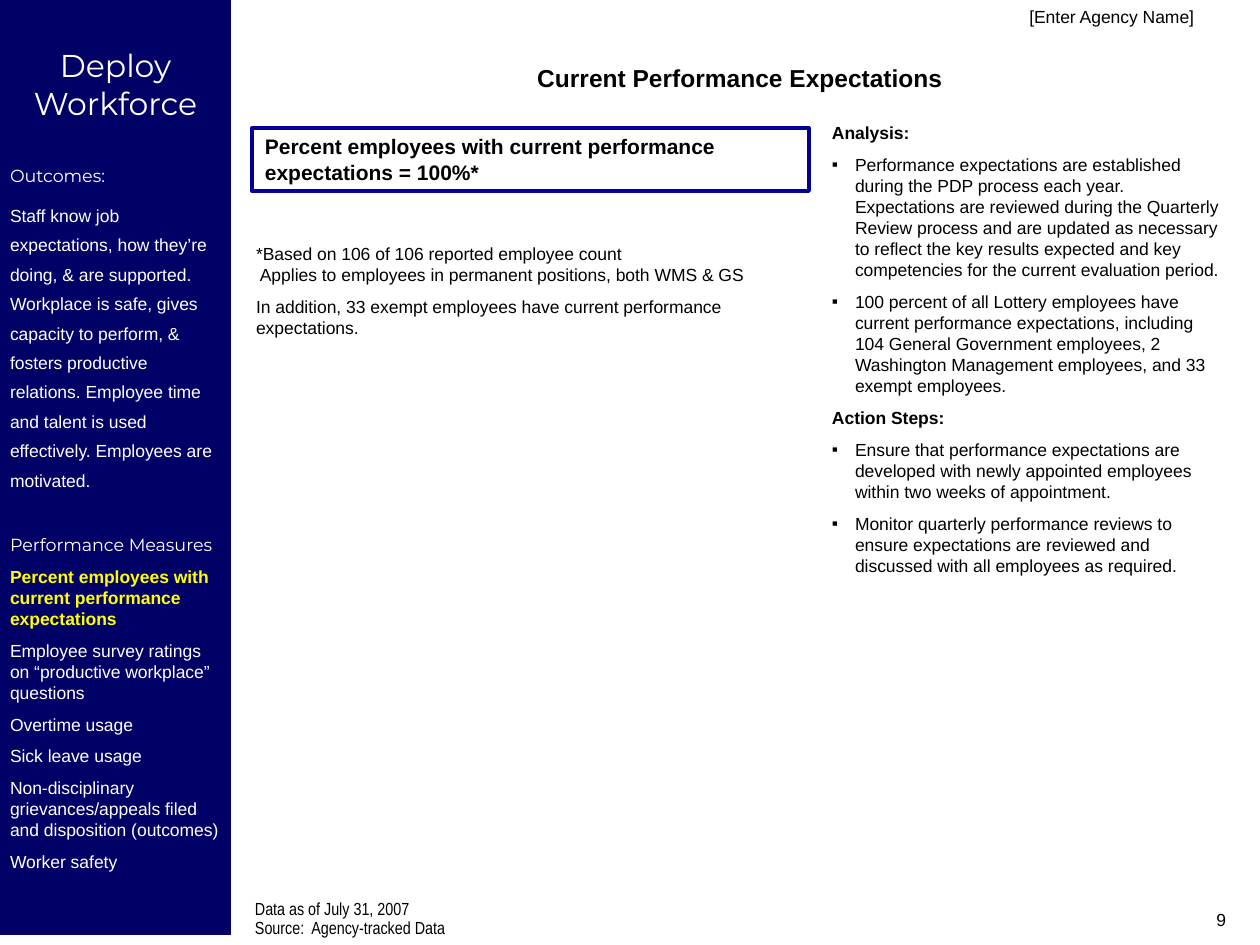
from dataclasses import dataclass
from typing import Optional

from lxml.etree import SubElement
from pptx import Presentation
from pptx.dml.color import RGBColor
from pptx.enum.shapes import MSO_SHAPE
from pptx.enum.text import MSO_ANCHOR, MSO_AUTO_SIZE, PP_ALIGN
from pptx.oxml.ns import qn
from pptx.util import Emu, Pt

PX_PER_INCH = 126


def px(length: int) -> Emu:
    return Emu(round(length * 914400 / PX_PER_INCH))


@dataclass(frozen=True)
class Theme:
    navy: str = "000066"
    frame: str = "000099"
    white: str = "FFFFFF"
    highlight: str = "FFFF00"
    ink: str = "000000"
    body_font: str = "Arial"
    narrow_font: str = "Arial Narrow"
    display_font: str = "Montserrat"
    body: int = 10
    headline: int = 12
    title: int = 14
    section: int = 18
    gap: float = 6.2
    wide_gap: float = 24.6
    hanging: int = 23


THEME = Theme()


@dataclass(frozen=True)
class Box:
    left: int
    top: int
    width: int
    height: int
    inset_x: int = 13
    inset_top: int = 6


@dataclass(frozen=True)
class Para:
    text: str
    size: int = THEME.body
    font: str = THEME.body_font
    color: str = THEME.ink
    bold: bool = False
    align: PP_ALIGN = PP_ALIGN.LEFT
    before: float = THEME.gap
    line_spacing: Optional[float] = None
    hanging: bool = False
    bullet: bool = False


def add_bullet(paragraph) -> None:
    properties = paragraph._p.get_or_add_pPr()
    color = SubElement(properties, qn("a:buClr"))
    SubElement(color, qn("a:srgbClr"), val=THEME.ink)
    SubElement(properties, qn("a:buFont"), typeface=THEME.body_font)
    SubElement(properties, qn("a:buChar"), char="▪")


def write_paragraph(paragraph, para: Para, first: bool) -> None:
    paragraph.alignment = para.align
    if not first:
        paragraph.space_before = Pt(para.before)
    if para.line_spacing:
        paragraph.line_spacing = para.line_spacing
    if para.hanging or para.bullet:
        properties = paragraph._p.get_or_add_pPr()
        properties.set("marL", str(px(THEME.hanging)))
        properties.set("indent", str(-px(THEME.hanging)))
    if para.bullet:
        add_bullet(paragraph)
    for index, line in enumerate(para.text.split("\n")):
        if index:
            paragraph.add_line_break()
        run = paragraph.add_run()
        run.text = line
        run.font.size = Pt(para.size)
        run.font.name = para.font
        run.font.bold = para.bold
        run.font.color.rgb = RGBColor.from_string(para.color)


def fill_text(shape, box: Box, paras: list[Para]) -> None:
    frame = shape.text_frame
    frame.word_wrap = True
    frame.auto_size = MSO_AUTO_SIZE.NONE
    frame.vertical_anchor = MSO_ANCHOR.TOP
    frame.margin_left = frame.margin_right = px(box.inset_x)
    frame.margin_top, frame.margin_bottom = px(box.inset_top), px(5)
    for index, para in enumerate(paras):
        paragraph = frame.add_paragraph() if index else frame.paragraphs[0]
        write_paragraph(paragraph, para, first=index == 0)


def place(shape, box: Box) -> None:
    shape.left, shape.top = px(box.left), px(box.top)
    shape.width, shape.height = px(box.width), px(box.height)


def add_text(slide, box: Box, paras: list[Para]) -> None:
    shape = slide.shapes.add_textbox(0, 0, 0, 0)
    place(shape, box)
    fill_text(shape, box, paras)


def add_panel(slide, box: Box, paras: list[Para], fill: Optional[str] = None,
              outline: Optional[str] = None) -> None:
    panel = slide.shapes.add_shape(MSO_SHAPE.RECTANGLE, 0, 0, 0, 0)
    place(panel, box)
    panel.shadow.inherit = False
    if fill:
        panel.fill.solid()
        panel.fill.fore_color.rgb = RGBColor.from_string(fill)
    else:
        panel.fill.background()
    if outline:
        panel.line.color.rgb = RGBColor.from_string(outline)
        panel.line.width = Pt(2.25)
    else:
        panel.line.fill.background()
    fill_text(panel, box, paras)


def sidebar_paras() -> list[Para]:
    white, display = THEME.white, THEME.display_font
    outcomes = (
        "Staff know job expectations, how they’re doing, & are supported. "
        "Workplace is safe, gives capacity to perform, & fosters productive "
        "relations. Employee time and talent is used effectively. "
        "Employees are motivated.")
    other_measures = [
        "Employee survey ratings on “productive workplace” questions",
        "Overtime usage",
        "Sick leave usage",
        "Non-disciplinary grievances/appeals filed and disposition (outcomes)",
        "Worker safety",
    ]
    return [
        Para("Deploy Workforce", THEME.section, display, white, align=PP_ALIGN.CENTER),
        Para("Outcomes:", font=display, color=white, before=THEME.wide_gap),
        Para(outcomes, color=white, line_spacing=1.4),
        Para("Performance Measures", font=display, color=white, before=THEME.wide_gap),
        Para("Percent employees with current performance expectations",
             color=THEME.highlight, bold=True),
        *(Para(measure, color=white) for measure in other_measures),
    ]


def analysis_paras() -> list[Para]:
    sections = {
        "Analysis:": [
            "Performance expectations are established during the PDP process each year. "
            "Expectations are reviewed during the Quarterly Review process and are updated "
            "as necessary to reflect the key results expected and key competencies for the "
            "current evaluation period.",
            "100 percent of all Lottery employees have current performance expectations, "
            "including 104 General Government employees, 2 Washington Management employees, "
            "and 33 exempt employees.",
        ],
        "Action Steps:": [
            "Ensure that performance expectations are developed with newly appointed "
            "employees within two weeks of appointment.",
            "Monitor quarterly performance reviews to ensure expectations are reviewed and "
            "discussed with all employees as required.",
        ],
    }
    paras = []
    for heading, points in sections.items():
        paras.append(Para(heading, bold=True, hanging=True))
        paras += [Para(point, bullet=True) for point in points]
    return paras


def main() -> None:
    deck = Presentation()
    deck.slide_width, deck.slide_height = px(1260), px(945)
    slide = deck.slides.add_slide(deck.slide_layouts[5])

    title_box = Box(231, 57, 1018, 43)
    place(slide.shapes.title, title_box)
    fill_text(slide.shapes.title, title_box, [
        Para("Current Performance Expectations", THEME.title, bold=True,
             align=PP_ALIGN.CENTER)])

    add_panel(slide, Box(0, 0, 231, 935, 10, 46), sidebar_paras(), fill=THEME.navy)
    add_panel(slide, Box(252, 128, 557, 63), [
        Para("Percent employees with current performance expectations = 100%*",
             THEME.headline, bold=True)], outline=THEME.frame)
    add_text(slide, Box(243, 205, 523, 140, 13, 38), [
        Para("*Based on 106 of 106 reported employee count\n"
             " Applies to employees in permanent positions, both WMS & GS"),
        Para("In addition, 33 exempt employees have current performance expectations.")])
    add_text(slide, Box(819, 116, 420, 595), analysis_paras())
    add_text(slide, Box(242, 898, 609, 47), [
        Para(line, font=THEME.narrow_font, before=2.5, line_spacing=0.7)
        for line in ("Data as of July 31, 2007", "Source:  Agency-tracked Data")])
    add_text(slide, Box(577, 0, 630, 32),
             [Para("[Enter Agency Name]", align=PP_ALIGN.RIGHT)])
    add_text(slide, Box(945, 903, 294, 42), [Para("9", align=PP_ALIGN.RIGHT)])

    deck.save("out.pptx")


if __name__ == "__main__":
    main()
